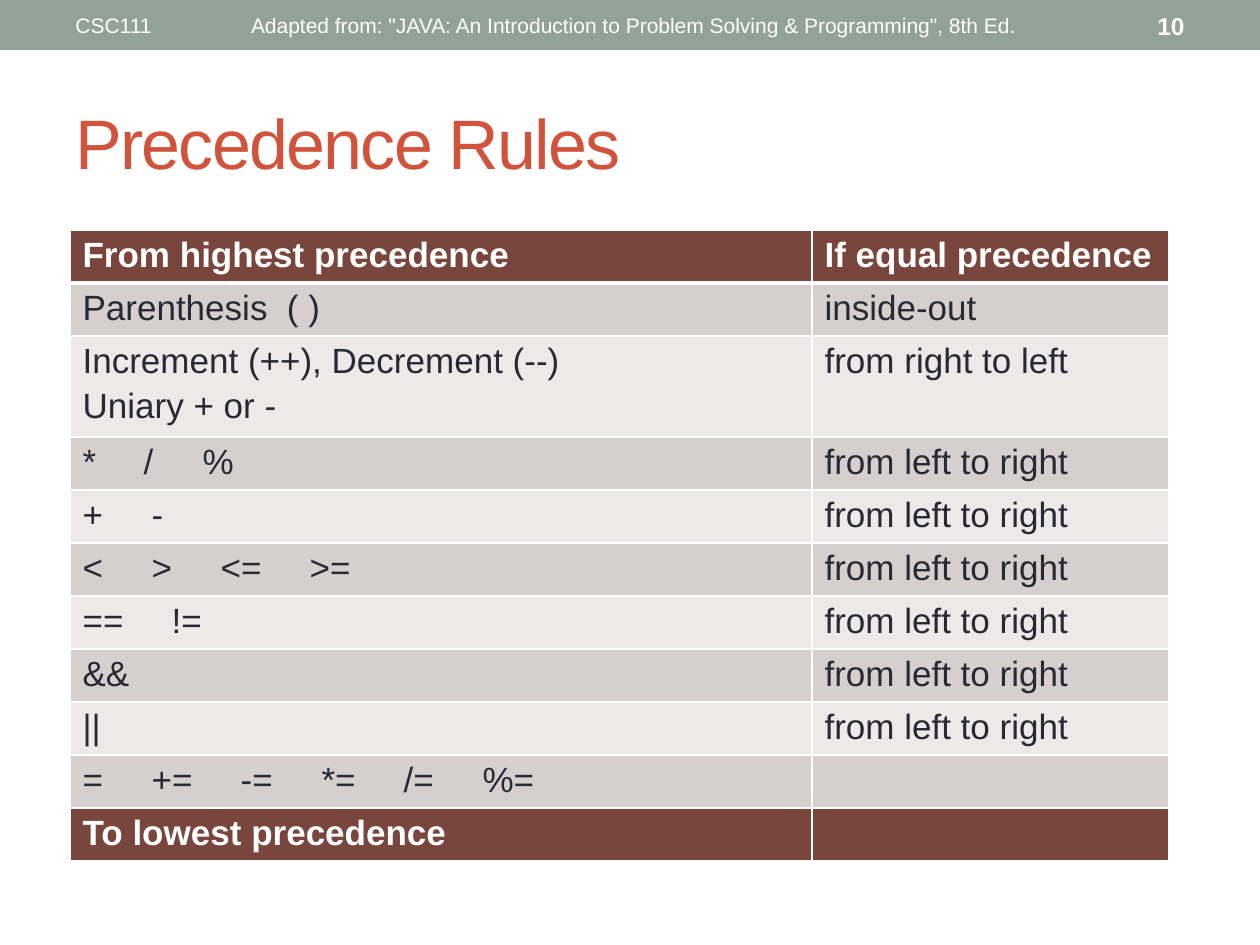
from lxml import etree
from pptx import Presentation
from pptx.dml.color import RGBColor
from pptx.enum.shapes import MSO_SHAPE
from pptx.enum.text import MSO_ANCHOR, PP_ALIGN
from pptx.oxml.ns import qn
from pptx.util import Pt

EMU_PER_PX = 914400 // 126
RECTANGLE = MSO_SHAPE.RECTANGLE
MIDDLE = MSO_ANCHOR.MIDDLE
LEFT, CENTER, RIGHT = PP_ALIGN.LEFT, PP_ALIGN.CENTER, PP_ALIGN.RIGHT
FONT = "Arial"
WHITE, SAGE, RUST, INK = "FFFFFF", "93A299", "D2533C", "292934"
BROWN, BANDS = "79463D", ("ECE9E8", "D7CFCE")
LEFT_TO_RIGHT = "from left to right"
TALL_ROW, TALL_HEIGHT, TABLE_HEIGHT = 2, 97, 613

ROWS = [
    ("From highest precedence", "If equal precedence", ()),
    ("Parenthesis  ( )", "inside-out", ()),
    ("Increment (++), Decrement (--)\nUniary + or -", "from right to left", ()),
    ("*\t/\t%", LEFT_TO_RIGHT, (61, 120)),
    ("+\t-", LEFT_TO_RIGHT, (69,)),
    ("<\t>\t<=\t>=", LEFT_TO_RIGHT, (69, 138, 227)),
    ("==\t!=", LEFT_TO_RIGHT, (89,)),
    ("&&", LEFT_TO_RIGHT, ()),
    ("||", LEFT_TO_RIGHT, ()),
    ("=\t+=\t-=\t*=\t/=\t%=", "", (69, 158, 239, 321, 400)),
    ("To lowest precedence", "", ()),
]


def px(length):
    return length * EMU_PER_PX


def rgb(value):
    return RGBColor.from_string(value)


class SlideBuilder:
    """Holds the slide and its text style, and adds each kind of element."""

    def __init__(self, slide):
        self.slide = slide

    def style(self, paragraph, size, color, bold=False):
        font = paragraph.font
        font.name, font.size, font.bold = FONT, Pt(size), bold
        font.color.rgb = rgb(color)

    def band(self, box, color):
        shape = self.slide.shapes.add_shape(RECTANGLE, *map(px, box))
        shape.shadow.inherit = False
        shape.fill.solid()
        shape.fill.fore_color.rgb = rgb(color)
        shape.line.fill.background()

    def text(self, box, words, size, color, align=LEFT, bold=False, tracking=0):
        frame = self.slide.shapes.add_textbox(*map(px, box)).text_frame
        frame.word_wrap = True
        frame.vertical_anchor = MIDDLE
        paragraph = frame.paragraphs[0]
        run = paragraph.add_run()
        run.text = words
        paragraph.alignment = align
        self.style(paragraph, size, color, bold)
        if tracking:
            run._r.get_or_add_rPr().set("spc", str(tracking))

    def border(self, cell, side, width):
        properties = cell._tc.get_or_add_tcPr()
        line = etree.SubElement(properties, qn(f"a:ln{side}"), w=str(Pt(width)))
        fill = etree.SubElement(line, qn("a:solidFill"))
        etree.SubElement(fill, qn("a:srgbClr"), val=WHITE)

    def tab_stops(self, paragraph, stops):
        tabs = etree.SubElement(paragraph._p.get_or_add_pPr(), qn("a:tabLst"))
        for stop in stops:
            etree.SubElement(tabs, qn("a:tab"), pos=str(px(stop)), algn="l")

    def cell(self, cell, words, stops, fill, color, bold, top, bottom):
        for side, width in zip("LRTB", (1, 1, top, bottom)):
            self.border(cell, side, width)
        cell.fill.solid()
        cell.fill.fore_color.rgb = rgb(fill)
        cell.margin_top, cell.margin_bottom = px(6), px(5)
        cell.text_frame.text = words
        for index, paragraph in enumerate(cell.text_frame.paragraphs):
            if index:
                paragraph.space_before = Pt(3.5)
            if stops:
                self.tab_stops(paragraph, stops)
            self.style(paragraph, 20, color, bold)

    def table(self, left, top, widths, rows):
        box = (left, top, sum(widths), TABLE_HEIGHT)
        table = self.slide.shapes.add_table(
            len(rows), len(widths), *map(px, box)).table
        table.first_row = table.horz_banding = False
        for column, width in zip(table.columns, widths):
            column.width = px(width)
        row_height = px(TABLE_HEIGHT - TALL_HEIGHT) // (len(rows) - 1)
        for index, (operators, order, stops) in enumerate(rows):
            table.rows[index].height = (
                px(TALL_HEIGHT) if index == TALL_ROW else row_height)
            strong = index in (0, len(rows) - 1)
            fill = BROWN if strong else BANDS[index % 2]
            color = WHITE if strong else INK
            top_line = 3 if index == 1 else 1
            bottom_line = 3 if index == 0 else 1
            for column, (words, tabs) in enumerate(((operators, stops), (order, ()))):
                self.cell(table.cell(index, column), words, tabs, fill, color,
                          strong, top_line, bottom_line)


def main():
    presentation = Presentation()
    presentation.slide_width, presentation.slide_height = px(1260), px(945)
    builder = SlideBuilder(
        presentation.slides.add_slide(presentation.slide_layouts[6]))
    builder.band((0, 0, 1260, 50), SAGE)
    builder.text((63, 73, 1134, 136), "Precedence Rules", 40, RUST, tracking=-100)
    builder.text((63, 3, 399, 45), "CSC111", 12, WHITE)
    builder.text(
        (229, 3, 810, 45),
        'Adapted from: "JAVA: An Introduction to Problem Solving & Programming", 8th Ed.',
        12, WHITE, CENTER)
    builder.text((1050, 3, 147, 45), "10", 14, WHITE, RIGHT, bold=True)
    builder.table(70, 230, (742, 357), ROWS)
    presentation.save("out.pptx")


if __name__ == "__main__":
    main()
